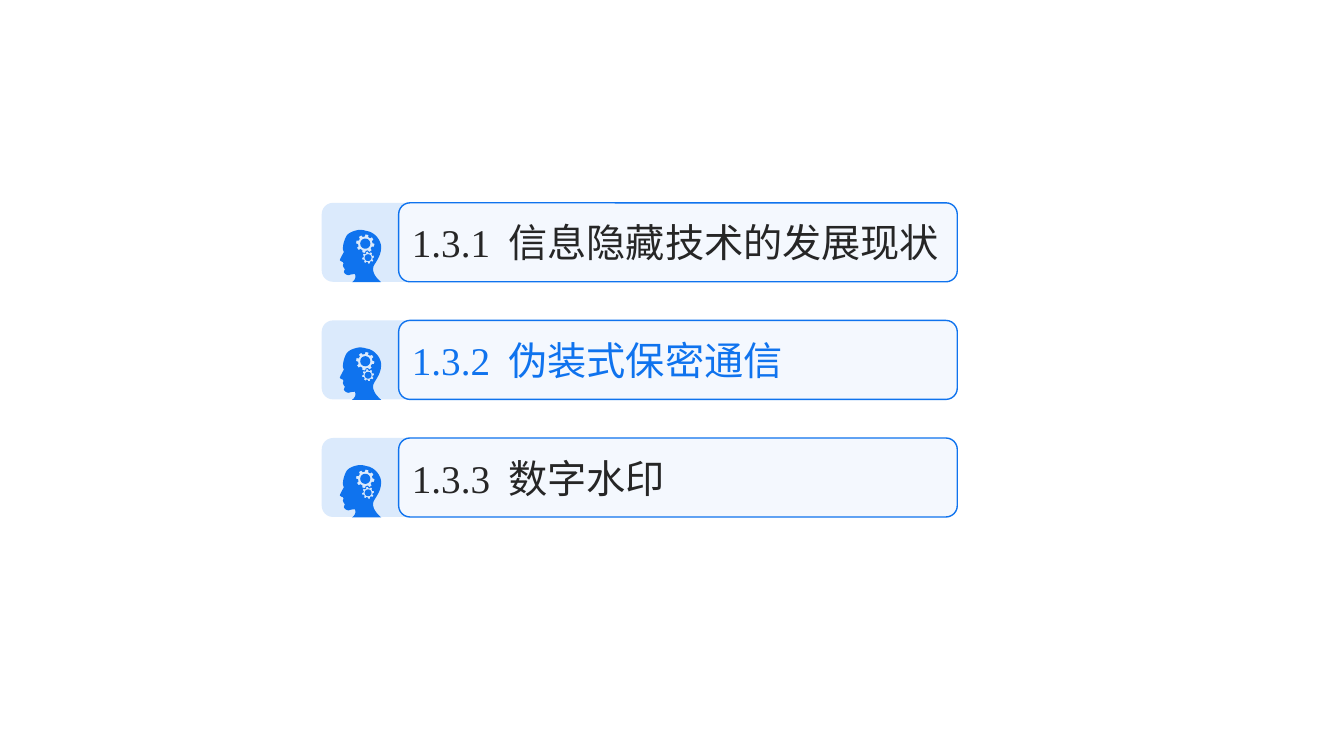
import math
from dataclasses import dataclass

from lxml import etree
from pptx import Presentation
from pptx.dml.color import RGBColor
from pptx.enum import shapes as kinds, text as txt
from pptx.oxml import ns
from pptx.util import Pt


@dataclass(frozen=True)
class Theme:
    blue: RGBColor = RGBColor(0x0F, 0x73, 0xEE)
    white: RGBColor = RGBColor(0xFF, 0xFF, 0xFF)
    dark: RGBColor = RGBColor(0x26, 0x26, 0x26)
    font: str = "Times New Roman"
    size: float = 28
    line: float = 1
    round: float = 0.143


THEME = Theme()
ITEMS = [
    ("1.3.1", "信息隐藏技术的发展现状"),
    ("1.3.2", "伪装式保密通信"),
    ("1.3.3", "数字水印"),
]
ACTIVE = "1.3.2"

# Head outline on a grid 41 wide and 52 high: two handles and an end per curve
GRID = 41
FINE = 100
START = (19, 0)
CURVES = [
    ((21, 0), (23, 0), (26, 1)),
    ((35, 2), (41, 11), (41, 17)),
    ((41, 28), (33, 34), (33, 38)),
    ((32, 45), (41, 52), (41, 52)),
    ((41, 52), (12, 52), (12, 52)),
    ((12, 52), (17, 49), (15, 44)),
    ((14, 44), (11, 44), (9, 45)),
    ((7, 45), (5, 44), (4, 42)),
    ((4, 41), (5, 39), (5, 39)),
    ((4, 38), (3, 36), (3, 35)),
    ((4, 33), (3, 32), (3, 32)),
    ((3, 32), (0, 31), (0, 30)),
    ((0, 29), (4, 22), (4, 22)),
    ((4, 22), (3, 20), (3, 19)),
    ((3, 18), (3, 13), (6, 7)),
    ((8, 3), (13, 1), (19, 0)),
]
# Gears: centre, tip, root and hole radius, turn in degrees
GEARS = [
    ((25.2, 13.7), 9.2, 7.2, 5, 10),
    ((28, 27.6), 6, 4.6, 3.4, -10),
]


def trace():
    """Points along the head outline."""
    pts, a = [START], START
    for b, c, d in CURVES:
        for step in range(1, 9):
            t = step / 8
            s = 1 - t
            pts.append(tuple(
                s**3 * a[i] + 3 * s * s * t * b[i] + 3 * s * t * t * c[i] + t**3 * d[i]
                for i in (0, 1)))
        a = d
    return pts


def polar(mid, rad, deg):
    ang = math.radians(deg)
    return mid[0] + rad * math.cos(ang), mid[1] + rad * math.sin(ang)


def gear(mid, tip, root, turn):
    """Eight teeth, each with two root points and two tip points."""
    side = ((-14, root), (-9, tip), (9, tip), (14, root))
    return [polar(mid, rad, turn + 45 * n + off) for n in range(8) for off, rad in side]


def ring(mid, rad):
    return [polar(mid, rad, 15 * n) for n in range(24)]


def paint(shape, color, alpha=None):
    shape.shadow.inherit = False
    shape.fill.solid()
    shape.fill.fore_color.rgb = color
    shape.line.fill.background()
    if alpha is not None:
        tone = shape.fill._xPr.find(".//" + ns.qn("a:srgbClr"))
        etree.SubElement(tone, ns.qn("a:alpha"), val=str(alpha * 1000))


def panel(group, x, y, w, h, color, alpha):
    box = group.shapes.add_shape(
        kinds.MSO_SHAPE.ROUNDED_RECTANGLE, Pt(x), Pt(y), Pt(w), Pt(h))
    box.adjustments[0] = THEME.round
    paint(box, color, alpha)
    return box


def head(group, x, y, w):
    """Head in profile with two gears cut out of it."""
    loops = [trace()]
    for mid, tip, root, hole, turn in GEARS:
        loops += [gear(mid, tip, root, turn), ring(mid, hole)]
    pen = None
    for loop in loops:
        pts = [(px * FINE, py * FINE) for px, py in loop]
        if pen is None:
            pen = group.shapes.build_freeform(*pts[0], scale=Pt(w) / (GRID * FINE))
        else:
            pen.move_to(*pts[0])
        pen.add_line_segments(pts[1:], close=True)
    paint(pen.convert_to_shape(Pt(x), Pt(y)), THEME.blue)


def label(card, num, name):
    frame = card.text_frame
    frame.word_wrap = True
    frame.vertical_anchor = txt.MSO_ANCHOR.MIDDLE
    para = frame.paragraphs[0]
    para.text = f"{num}\t{name}"
    para.alignment = txt.PP_ALIGN.LEFT
    # Names line up on one tab stop
    tabs = etree.SubElement(para._p.get_or_add_pPr(), ns.qn("a:tabLst"))
    etree.SubElement(tabs, ns.qn("a:tab"), pos=str(Pt(69)), algn="l")
    for run in para.runs:
        run.font.name = THEME.font
        run.font.size = Pt(THEME.size)
        run.font.color.rgb = THEME.blue if num == ACTIVE else THEME.dark


def entry(slide, x, y, w, h, num, name):
    """One row: tinted base, head icon and card with the section name."""
    group = slide.shapes.add_group_shape()
    panel(group, x, y, w - 1, h, THEME.blue, 15)
    head(group, x + 13, y + 19.3, 29.5)
    card = panel(group, x + 55, y, w - 55, h, THEME.white, 70)
    card.line.color.rgb = THEME.blue
    card.line.width = Pt(THEME.line)
    label(card, num, name)


def agenda(slide, x, y, w, h, step):
    for n, (num, name) in enumerate(ITEMS):
        entry(slide, x, y + n * step, w, h, num, name)


def main():
    deck = Presentation()
    deck.slide_width, deck.slide_height = Pt(960), Pt(540)
    slide = deck.slides.add_slide(deck.slide_layouts[6])
    agenda(slide, 229.8, 144.9, 454, 56.4, 84)
    deck.save("out.pptx")


if __name__ == "__main__":
    main()
